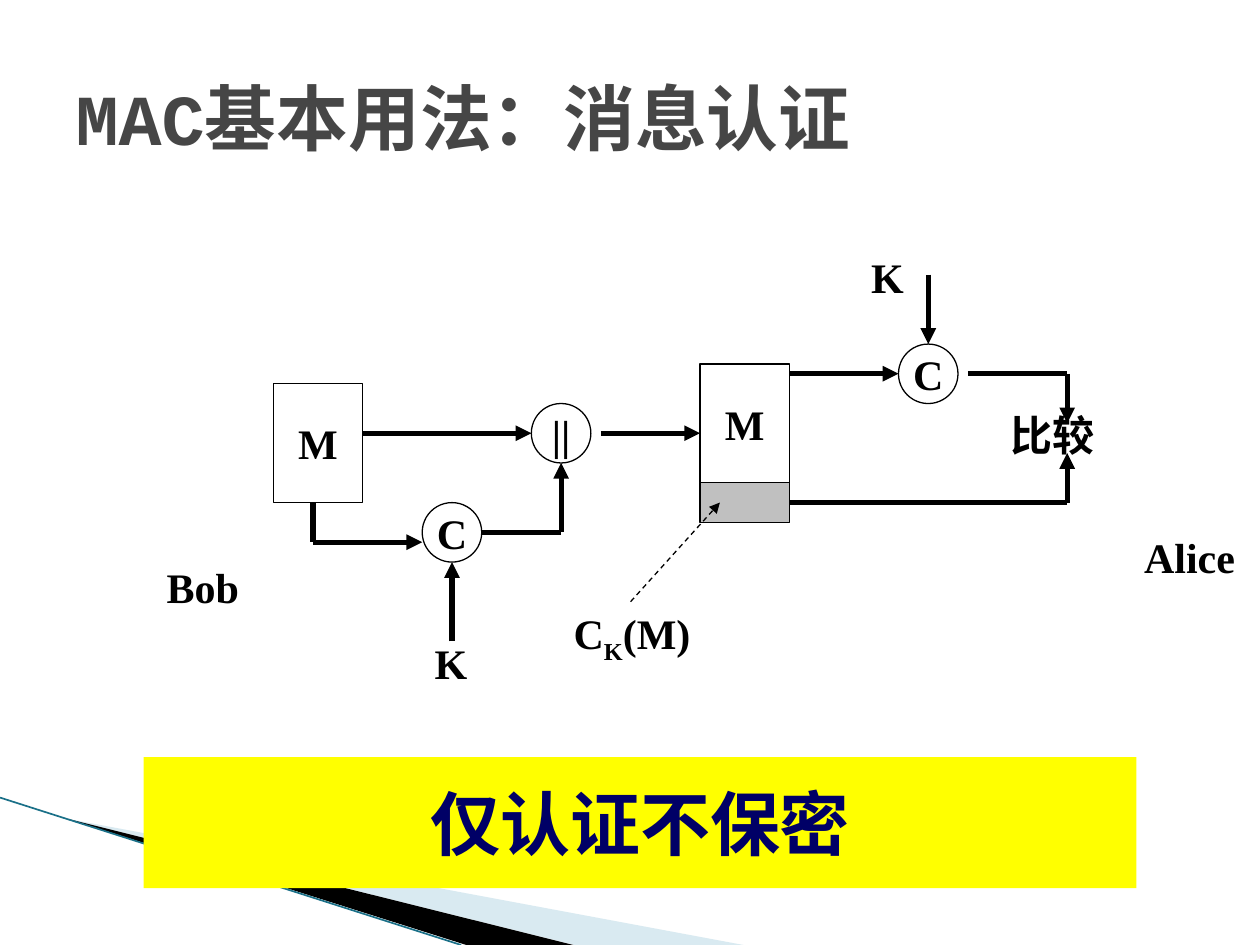
import itertools

import pptx
import pptx.dml.color
import pptx.enum.dml
import pptx.enum.shapes
import pptx.enum.text
import pptx.oxml.ns
import pptx.oxml.xmlchemy
import pptx.util

COLORS = {
    "ink": "000000", "paper": "FFFFFF", "title": "464646", "tag": "C0C0C0",
    "banner": "FFFF00", "banner_text": "000066", "wedge": "A0CBDC", "edge": "1A7088",
}
SERIF = "Times New Roman"
SHAPES = pptx.enum.shapes.MSO_SHAPE
ALIGN = pptx.enum.text.PP_ALIGN
ANCHOR = pptx.enum.text.MSO_ANCHOR
inch = pptx.util.Inches
new_element = pptx.oxml.xmlchemy.OxmlElement


def rgb(name):
    return pptx.dml.color.RGBColor.from_string(COLORS[name])


def write(frame, *pieces, size=24, font=SERIF, color="ink", align=ALIGN.LEFT,
          anchor=ANCHOR.TOP, wrap=True):
    """Fill a text frame with one bold paragraph; a piece (text, baseline) is shifted."""
    frame.auto_size = pptx.enum.text.MSO_AUTO_SIZE.NONE
    frame.word_wrap = wrap
    frame.vertical_anchor = anchor
    para = frame.paragraphs[0]
    para.alignment = align
    for piece in pieces:
        text, baseline = (piece, None) if isinstance(piece, str) else piece
        span = para.add_run()
        span.text = text
        span.font.size = pptx.util.Pt(size)
        span.font.name = font
        span.font.bold = True
        span.font.color.rgb = rgb(color)
        if baseline:
            span.font._element.set("baseline", str(baseline))


def paint(shape, fill, outline=None):
    shape.shadow.inherit = False
    shape.fill.solid()
    shape.fill.fore_color.rgb = rgb(fill)
    if outline:
        shape.line.color.rgb = rgb(outline)
        shape.line.width = pptx.util.Pt(0.75)
    else:
        shape.line.fill.background()


def add_line(page, start, end, color="ink", width=3, arrow=False, dashed=False):
    """Join two points given in inches, with an optional arrowhead at the end."""
    line = page.shapes.add_connector(
        pptx.enum.shapes.MSO_CONNECTOR.STRAIGHT, *map(inch, (*start, *end)))
    line.line.color.rgb = rgb(color)
    line.line.width = pptx.util.Pt(width)
    if dashed:
        line.line.dash_style = pptx.enum.dml.MSO_LINE.DASH
    if arrow:
        head = new_element("a:tailEnd")
        head.set("type", "triangle")
        line.line._get_or_add_ln().append(head)
    line._element.spPr.append(new_element("a:effectLst"))


def add_wedge(page, points, color, opacity=100):
    corners = [(inch(x), inch(y)) for x, y in points]
    builder = page.shapes.build_freeform(*corners[0], scale=1.0)
    builder.add_line_segments(corners[1:], close=True)
    wedge = builder.convert_to_shape()
    paint(wedge, color)
    alpha = new_element("a:alpha")
    alpha.set("val", str(opacity * 1000))
    wedge._element.spPr.find(".//" + pptx.oxml.ns.qn("a:srgbClr")).append(alpha)


def add_corner(page, left, top, width, height):
    """Draw the sweeping wedges in the lower left corner."""
    right, bottom = left + width, top + height
    tip = (left + 0.54, top + 0.17)
    add_wedge(page, [tip, (right, bottom), (left + 4.56, bottom)], "wedge", 40)
    add_wedge(page, [tip, (left + 4.55, bottom), (left + 3.7, bottom)], "ink")
    add_line(page, (left, top), (left + 3.66, bottom), "edge", 0.95)


def add_title(page, left, top, width, height):
    title = page.shapes.title
    title.left, title.top, title.width, title.height = map(inch, (left, top, width, height))
    write(title.text_frame, "MAC基本用法：消息认证", size=41, font="Courier New",
          color="title", anchor=ANCHOR.MIDDLE)


def add_diagram(page, left, top, width, height):
    """Draw the message flow on a grid of 80 columns and 37 rows."""
    column, row = width / 80, height / 37

    def point(x, y):
        return left + x * column, top + y * row

    def node(kind, x, y, columns, rows, text=None, fill="paper"):
        box = page.shapes.add_shape(
            kind, *map(inch, (*point(x, y), columns * column, rows * row)))
        paint(box, fill, "ink")
        if text:
            write(box.text_frame, text, align=ALIGN.CENTER, anchor=ANCHOR.MIDDLE, wrap=False)

    def label(x, y, columns, *pieces):
        box = page.shapes.add_textbox(*map(inch, (*point(x, y), columns * column, 0.5)))
        write(box.text_frame, *pieces)

    for x, y in [(0, 11), (43, 9)]:
        node(SHAPES.RECTANGLE, x, y, 9, 12, "M")
    node(SHAPES.RECTANGLE, 43, 21, 9, 4, fill="tag")
    for x, y, text in [(26, 13, "||"), (15, 23, "C"), (63, 7, "C")]:
        node(SHAPES.OVAL, x, y, 6, 6, text)

    routes = [
        [(9, 16), (26, 16)],
        [(4, 23), (4, 27), (15, 27)],
        [(18, 37), (18, 29)],
        [(21, 26), (29, 26), (29, 19)],
        [(33, 16), (43, 16)],
        [(52, 10), (63, 10)],
        [(66, 0), (66, 7)],
        [(70, 10), (80, 10), (80, 15)],
        [(52, 23), (80, 23), (80, 18)],
    ]
    for route in routes:
        for start, end in itertools.pairwise(route):
            add_line(page, point(*start), point(*end), arrow=end == route[-1])
    add_line(page, point(36, 33), point(45, 23), width=0.75, arrow=True, dashed=True)

    label(-12, 28.3, 18, "Bob")
    label(86.5, 25.3, 13, "Alice")
    label(15, 36, 9, "K")
    label(59, -3, 5, "K")
    label(29, 33, 18, "C", ("K", -25000), "(M)")
    label(73, 13, 12, "比较")


def add_banner(page, left, top, width, height):
    banner = page.shapes.add_shape(
        SHAPES.RECTANGLE, *map(inch, (left, top, width, height)))
    paint(banner, "banner")
    write(banner.text_frame, "仅认证不保密", size=40, color="banner_text",
          align=ALIGN.CENTER, anchor=ANCHOR.MIDDLE, wrap=False)


def main():
    deck = pptx.Presentation()
    deck.slide_width, deck.slide_height = inch(10), inch(7.5)
    page = deck.slides.add_slide(deck.slide_layouts.get_by_name("Title Only"))
    add_corner(page, 0, 6.33, 5.9, 1.17)
    add_title(page, 0.5, 0.3, 9, 1.25)
    add_diagram(page, 2.17, 2.18, 6.3, 2.91)
    add_banner(page, 1.14, 6.01, 7.88, 1.04)
    deck.save("out.pptx")


if __name__ == "__main__":
    main()
